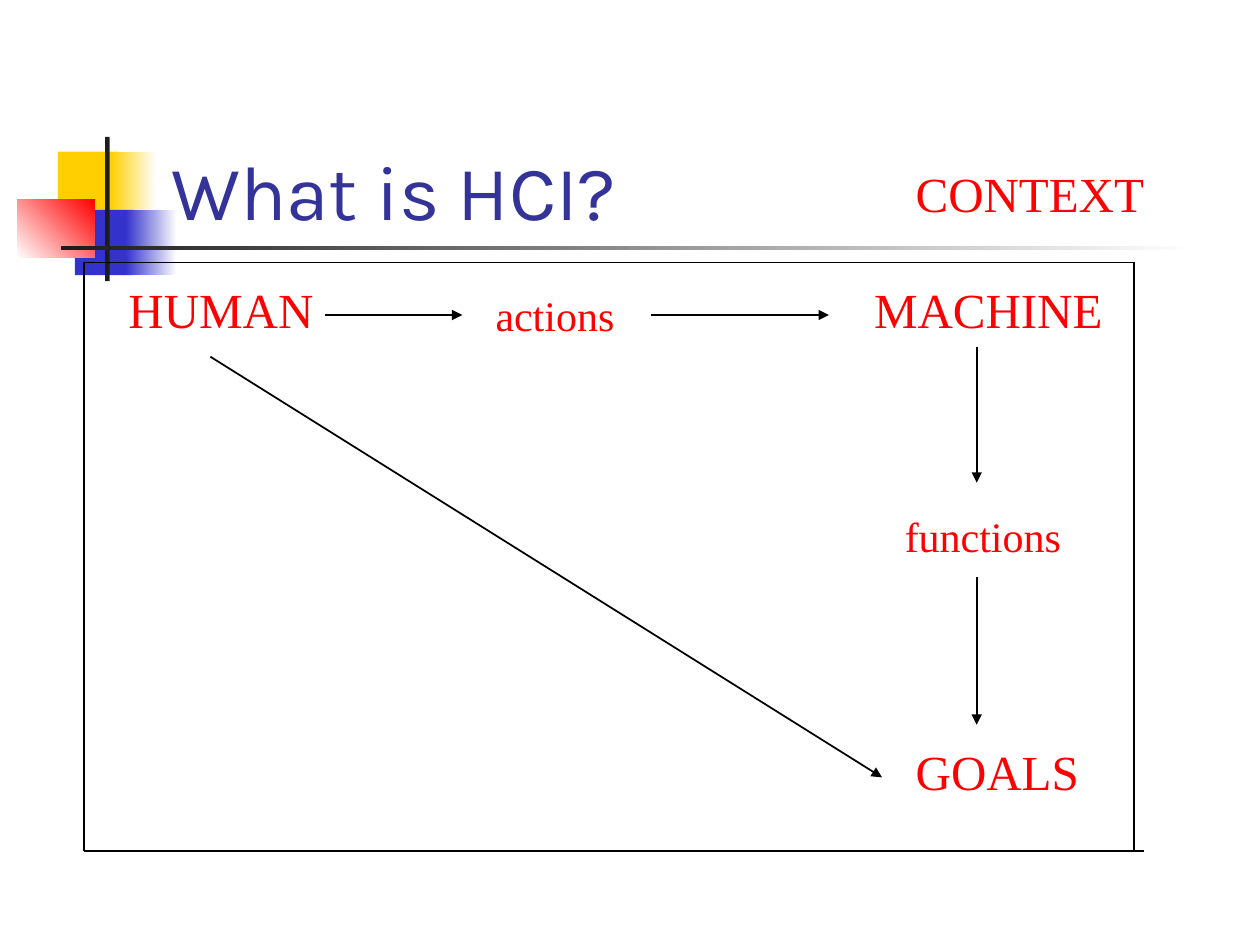
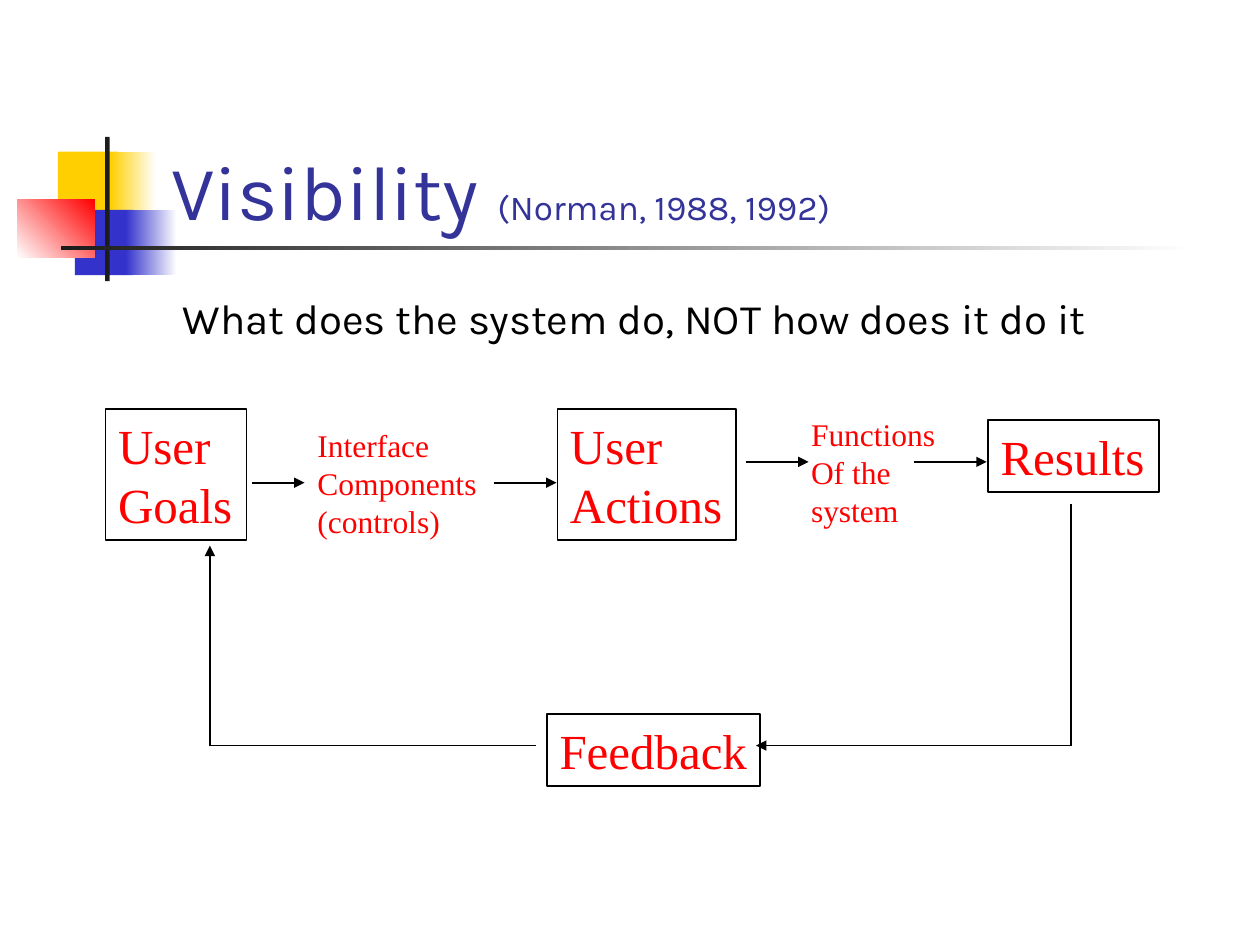
from lxml import etree
from pptx import Presentation
from pptx.dml.color import RGBColor
from pptx.enum.shapes import MSO_CONNECTOR as Connector, MSO_SHAPE as Shape
from pptx.enum.text import MSO_ANCHOR as Anchor, MSO_AUTO_SIZE as AutoSize, PP_ALIGN as Align
from pptx.oxml.ns import qn
from pptx.util import Cm, Pt

BLACK, WHITE, CHARCOAL = "000000", "FFFFFF", "1C1C1C"
YELLOW, BLUE, RED, TITLE_BLUE = "FFCF01", "3333CC", "FF0000", "333399"
SANS, SERIF = "Karla", "Times New Roman"
TITLE_ONLY = 5

TITLE_BOX = (3.2, 1.7, 21.64, 3.18)
CONTEXT_BOX = (1.69, 5.29, 21.17, 11.86)
HEADLINE_BOX = (3.43, 5.77, 19.6, 1.27)
LOOP_BOX = (2.13, 8.25, 21.2, 7.59)

# left, top, width, height, colours from start to end, gradient angle
MOTIF = [
    (1.17, 3.06, 1.22, 1.32, [YELLOW], 0),
    (2.23, 3.06, 0.91, 1.32, [YELLOW, WHITE], 0),
    (1.51, 4.23, 1.17, 1.32, [BLUE], 0),
    (2.54, 4.23, 1.02, 1.32, [BLUE, WHITE], 0),
    (0.35, 4.02, 1.56, 1.18, [WHITE, RED], 45),
    (2.12, 2.76, 0.09, 2.91, [CHARCOAL], 0),
    (1.23, 4.95, 22.86, 0.09, [CHARCOAL, WHITE], 0),
]


def rgb(hex_code):
    return RGBColor.from_string(hex_code)


def apply(target, formats):
    for name, value in formats.items():
        setattr(target, name, value)


def style_text(frame, size, face, colour):
    for paragraph in frame.paragraphs:
        paragraph.alignment = Align.LEFT
        for run in paragraph.runs:
            apply(run.font, {"size": Pt(size), "name": face})
            run.font.color.rgb = rgb(colour)


def outline(line):
    line.color.rgb = rgb(BLACK)
    line.width = Pt(1)


def add_label(slide, box, text, size=28, face=SERIF, colour=RED, boxed=False):
    bounds = [Cm(length) for length in box]
    if boxed:
        label = slide.shapes.add_shape(Shape.RECTANGLE, *bounds)
        label.shadow.inherit = False
        label.fill.background()
        outline(label.line)
    else:
        label = slide.shapes.add_textbox(*bounds)
    frame = label.text_frame
    frame.text = text
    apply(frame, {"word_wrap": False, "auto_size": AutoSize.SHAPE_TO_FIT_TEXT,
                  "vertical_anchor": Anchor.TOP})
    style_text(frame, size, face, colour)


def add_lines(slide, origin, lines, arrow=True):
    """Draw (x1, y1, x2, y2) lines measured from the origin."""
    left, top = origin
    for x1, y1, x2, y2 in lines:
        link = slide.shapes.add_connector(
            Connector.STRAIGHT, Cm(left + x1), Cm(top + y1), Cm(left + x2), Cm(top + y2))
        outline(link.line)
        if arrow:
            etree.SubElement(link.line._get_or_add_ln(), qn("a:tailEnd"), type="triangle")
        etree.SubElement(link._element.spPr, qn("a:effectLst"))


def add_motif(slide):
    for left, top, width, height, colours, angle in MOTIF:
        block = slide.shapes.add_shape(
            Shape.RECTANGLE, Cm(left), Cm(top), Cm(width), Cm(height))
        block.shadow.inherit = False
        block.line.fill.background()
        if len(colours) == 1:
            block.fill.solid()
            block.fill.fore_color.rgb = rgb(colours[0])
            continue
        block.fill.gradient()
        block.fill.gradient_angle = angle
        for stop, colour in zip(block.fill.gradient_stops, colours):
            stop.color.rgb = rgb(colour)


def add_titled_slide(deck, heading, citation=""):
    slide = deck.slides.add_slide(deck.slide_layouts[TITLE_ONLY])
    add_motif(slide)
    title = slide.shapes.title
    slide.shapes._spTree.append(title._element)  # bring the title in front of the motif
    apply(title, dict(zip(("left", "top", "width", "height"), map(Cm, TITLE_BOX))))
    frame = title.text_frame
    frame.text = heading
    apply(frame, {"vertical_anchor": Anchor.BOTTOM, "auto_size": AutoSize.NONE,
                  "word_wrap": True})
    if citation:
        frame.paragraphs[0].add_run().text = citation
    style_text(frame, 44, SANS, TITLE_BLUE)
    for run in frame.paragraphs[0].runs[1:]:
        run.font.size = Pt(20)
    return slide


def draw_context(slide, box):
    left, top, width, height = box
    labels = [
        ("HUMAN", 0.65, 0.22, 4.3, 28),
        ("MACHINE", 15.68, 0.22, 5.15, 28),
        ("GOALS", 16.52, 9.53, 3.85, 28),
        ("functions", 16.3, 4.87, 3.7, 24),
        ("actions", 8.05, 0.43, 2.95, 24),
        ("CONTEXT", 16.52, -2.11, 5.15, 28),
    ]
    for text, x, y, label_width, size in labels:
        label_height = 1.45 if size == 28 else 1.27
        add_label(slide, (left + x, top + y, label_width, label_height), text, size)

    action_y, function_x = 1.06, 18
    add_lines(slide, (left, top), [
        (4.87, action_y, 7.63, action_y),
        (11.44, action_y, 15.02, action_y),
        (function_x, 1.7, function_x, 4.44),
        (function_x, 6.35, function_x, 9.32),
        (2.55, 1.9, 16.09, 10.38),
    ])
    overhang = 0.21
    add_lines(slide, (left, top), [
        (0, 0, 0, height),
        (0, height, width + overhang, height),
        (0, 0, width, 0),
        (width, 0, width, height),
    ], arrow=False)


def draw_feedback_loop(slide, box):
    left, top = box[:2]
    stages = [
        ("User\nGoals", 0, 0, 2.84, 2.64),
        ("User\nActions", 9.11, 0, 3.6, 2.64),
        ("Results", 17.79, 0.22, 3.44, 1.45),
        ("Feedback", 8.9, 6.15, 4.3, 1.45),
    ]
    means = [
        ("Interface\nComponents\n(controls)", 4.02, 0.22, 3.75, 2.54),
        ("Functions\nOf the\nsystem", 13.97, 0, 3.1, 2.54),
    ]
    for group, size, boxed in ((stages, 28, True), (means, 18, False)):
        for text, x, y, width, height in group:
            add_label(slide, (left + x, top + y, width, height), text, size, boxed=boxed)

    interface_y, function_y, return_y = 1.48, 1.06, 6.78
    goals_x, results_x = 2.1, 19.46
    add_lines(slide, (left, top), [
        (2.95, interface_y, 4.01, interface_y),
        (7.82, interface_y, 9.09, interface_y),
        (12.9, function_y, 14.17, function_y),
        (16.29, function_y, 17.76, function_y),
        (results_x, return_y, 13.11, return_y),
        (goals_x, return_y, goals_x, 2.75),
    ])
    add_lines(slide, (left, top), [
        (results_x, 1.91, results_x, return_y),
        (8.67, return_y, goals_x, return_y),
    ], arrow=False)


def main():
    deck = Presentation()
    apply(deck, {"slide_width": Cm(25.4), "slide_height": Cm(19.05)})

    draw_context(add_titled_slide(deck, "What is HCI?"), CONTEXT_BOX)

    visibility = add_titled_slide(deck, "Visibility ", "(Norman, 1988, 1992)")
    draw_feedback_loop(visibility, LOOP_BOX)
    add_label(visibility, HEADLINE_BOX, "What does the system do, NOT how does it do it",
              24, SANS, BLACK)

    deck.save("out.pptx")


if __name__ == "__main__":
    main()
